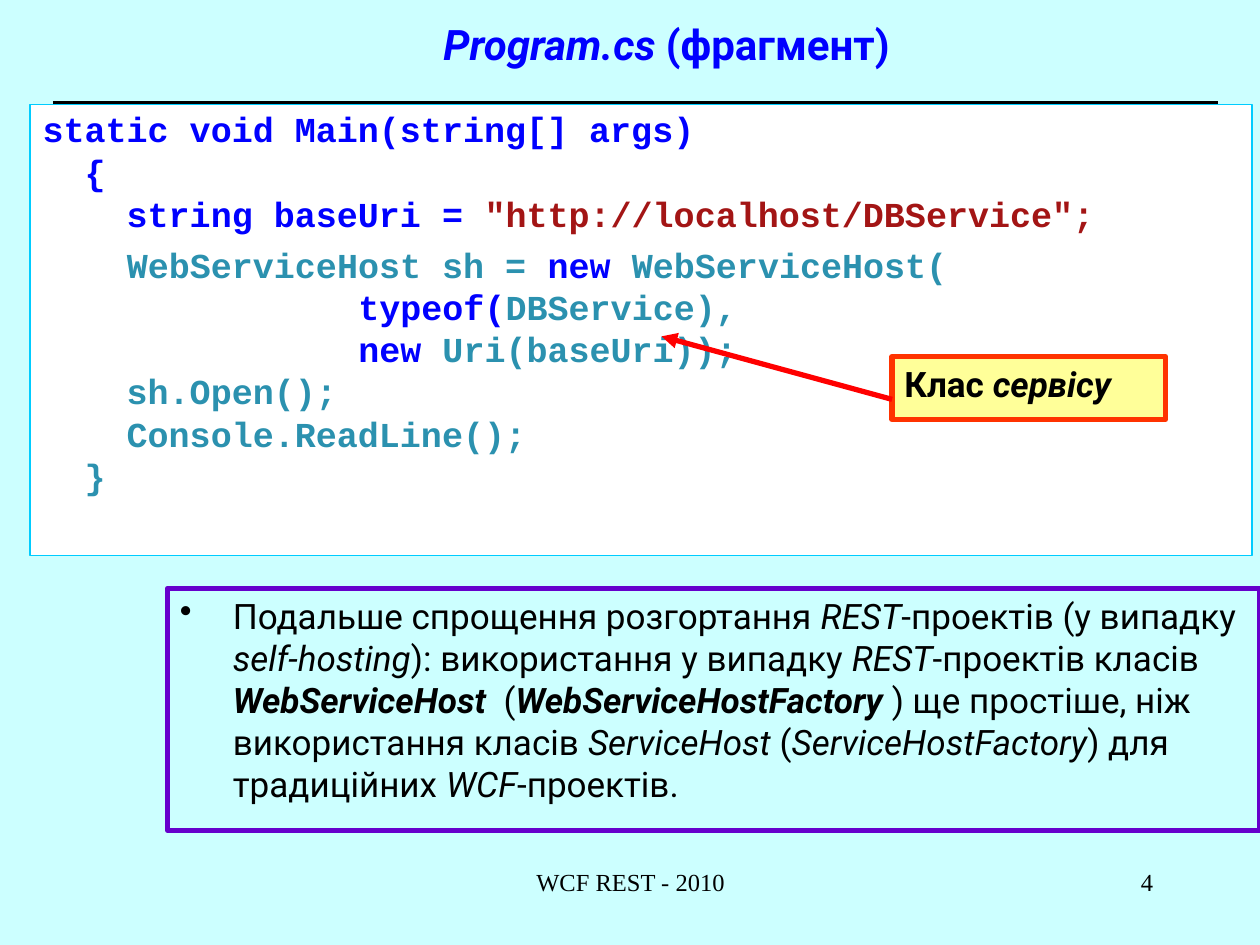
from lxml.etree import SubElement
from pptx import Presentation
from pptx.dml.color import RGBColor
from pptx.enum.shapes import MSO_CONNECTOR, MSO_SHAPE
from pptx.enum.text import MSO_ANCHOR, PP_ALIGN
from pptx.oxml.ns import qn
from pptx.util import Inches, Pt

COLORS = {
    "background": "CCFFFF", "black": "000000", "white": "FFFFFF",
    "keyword": "0000FF", "string": "A31515", "type": "2B91AF",
    "code_border": "00CCFF", "note_border": "6600CC",
    "callout": "FFFF99", "callout_border": "FF3300", "arrow": "FF0000",
}

CODE = [
    [("static void Main(string[] args)", "keyword")],
    [("  {", "keyword")],
    [("    string baseUri = ", "keyword"),
     ('"http://localhost/DBService";', "string")],
    [("    ", "keyword"), ("WebServiceHost sh = ", "type"), ("new ", "keyword"),
     ("WebServiceHost(\n               ", "type"), ("typeof(", "keyword"),
     ("DBService),\n               ", "type"), ("new ", "keyword"),
     ("Uri(baseUri));", "type")],
    [("    sh.Open();", "type")],
    [("    Console.ReadLine();", "type")],
    [("  }", "type")],
]

# Each run is its text and its style: "b" for bold, "i" for italic
NOTE = [
    ("Подальше спрощення розгортання ", ""), ("REST", "i"),
    ("-проектів (у випадку ", ""), ("self-hosting", "i"),
    ("): використання у випадку ", ""), ("REST", "i"),
    ("-проектів класів ", ""), ("WebServiceHost  ", "bi"), ("(", ""),
    ("WebServiceHostFactory", "bi"),
    (" ) ще простіше, ніж використання класів ", ""), ("ServiceHost", "i"),
    (" (", ""), ("ServiceHostFactory", "i"), (") для традиційних ", ""),
    ("WCF", "i"), ("-проектів.", ""),
]


def rgb(name):
    return RGBColor.from_string(COLORS[name])


def add_run(p, text, size, font, color="black", style=""):
    """Add text to a paragraph, with a line break at each newline."""
    for i, part in enumerate(text.split("\n")):
        if i:
            p.add_line_break()
        r = p.add_run()
        r.text = part
        r.font.size = Pt(size)
        r.font.name = font
        r.font.color.rgb = rgb(color)
        r.font.bold = "b" in style
        r.font.italic = "i" in style


def prepare_frame(sp, align=PP_ALIGN.LEFT, anchor=MSO_ANCHOR.TOP):
    """Set wrapping and alignment; return the text frame."""
    tf = sp.text_frame
    tf.word_wrap = True
    tf.vertical_anchor = anchor
    tf.paragraphs[0].alignment = align
    return tf


def add_text(s, box, runs, size, font, align, color="black",
             anchor=MSO_ANCHOR.TOP):
    sp = s.shapes.add_textbox(*map(Inches, box))
    p = prepare_frame(sp, align, anchor).paragraphs[0]
    for text, style in runs:
        add_run(p, text, size, font, color, style)
    return p


def add_box(s, box, border, width, fill=None):
    """Add a bordered rectangle and return its text frame."""
    sp = s.shapes.add_shape(MSO_SHAPE.RECTANGLE, *map(Inches, box))
    sp.shadow.inherit = False
    if fill:
        sp.fill.solid()
        sp.fill.fore_color.rgb = rgb(fill)
    else:
        sp.fill.background()
    sp.line.color.rgb = rgb(border)
    sp.line.width = Pt(width)
    return prepare_frame(sp)


def add_line(s, start, end, color, width, arrow=False):
    line = s.shapes.add_connector(MSO_CONNECTOR.STRAIGHT,
                                  *map(Inches, start + end))
    line.line.color.rgb = rgb(color)
    line.line.width = Pt(width)
    if arrow:
        SubElement(line.line._get_or_add_ln(), qn("a:tailEnd"), type="triangle")
    SubElement(line._element.spPr, qn("a:effectLst"))


def add_code(s):
    tf = add_box(s, (0.24, 0.83, 9.7, 3.58), "code_border", 1, "white")
    tf.margin_top = Inches(0.09)
    for i, runs in enumerate(CODE):
        p = tf.add_paragraph() if i else tf.paragraphs[0]
        p.alignment = PP_ALIGN.LEFT
        multiline = any("\n" in text for text, _ in runs)
        p.line_spacing = 1.0 if multiline else 0.8
        if i:
            p.space_before = Pt(5)
        for text, color in runs:
            add_run(p, text, 20, "Courier New", color, "b")


def add_note(s):
    p = add_box(s, (1.33, 4.67, 8.67, 1.92), "note_border", 3).paragraphs[0]
    pPr = p._p.get_or_add_pPr()
    pPr.set("marL", str(Inches(0.42)))
    pPr.set("indent", str(Inches(-0.42)))
    bullet_color = SubElement(pPr, qn("a:buClr"))
    SubElement(bullet_color, qn("a:srgbClr"), val=COLORS["black"])
    SubElement(pPr, qn("a:buChar"), char="•")
    for text, style in NOTE:
        add_run(p, text, 20, "Roboto", style=style)


def add_callout(s):
    tf = add_box(s, (7.08, 2.83, 2.17, 0.5), "callout_border", 3, "callout")
    for text, style in [("Клас", "b"), (" сервісу", "bi")]:
        add_run(tf.paragraphs[0], text, 20, "Roboto", style=style)
    add_line(s, (7.08, 3.17), (5.25, 2.67), "arrow", 3, arrow=True)


def main():
    prs = Presentation()
    prs.slide_width, prs.slide_height = Inches(10), Inches(7.5)
    s = prs.slides.add_slide(prs.slide_layouts[6])
    s.background.fill.solid()
    s.background.fill.fore_color.rgb = rgb("background")

    add_line(s, (0.42, 0.83), (9.67, 0.83), "black", 4.5)
    title = add_text(s, (0.83, 0, 8.92, 0.75),
                     [("Program.cs ", "bi"), ("(фрагмент)", "b")],
                     24, "Roboto", PP_ALIGN.CENTER, "keyword", MSO_ANCHOR.MIDDLE)
    title.line_spacing = 0.9
    add_code(s)
    add_note(s)
    add_callout(s)
    add_text(s, (3.42, 6.83, 3.17, 0.5), [("WCF REST - 2010", "")],
             14, "Times New Roman", PP_ALIGN.CENTER)
    add_text(s, (7.17, 6.83, 2.08, 0.5), [("4", "")],
             14, "Times New Roman", PP_ALIGN.RIGHT)
    prs.save("out.pptx")


if __name__ == "__main__":
    main()
